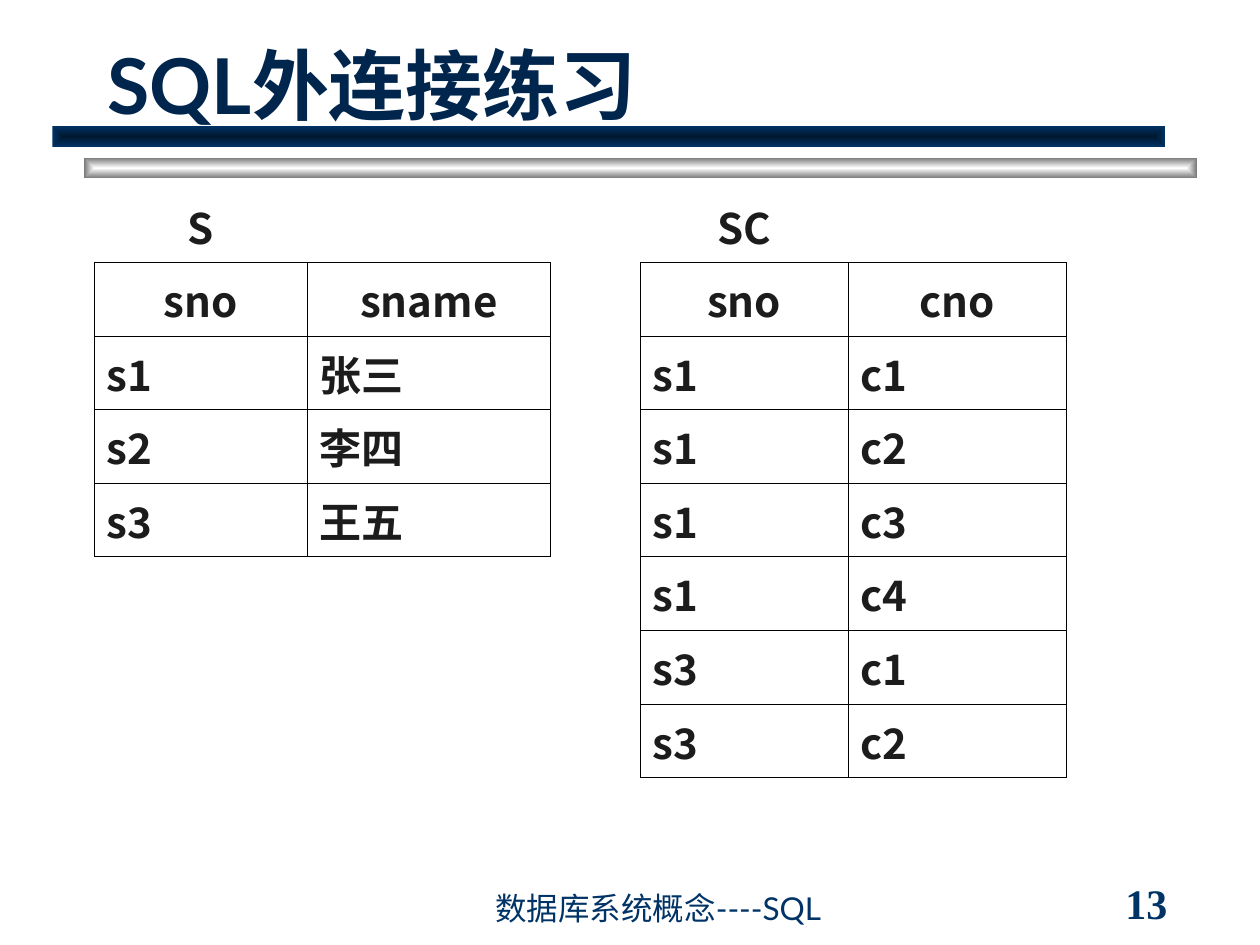
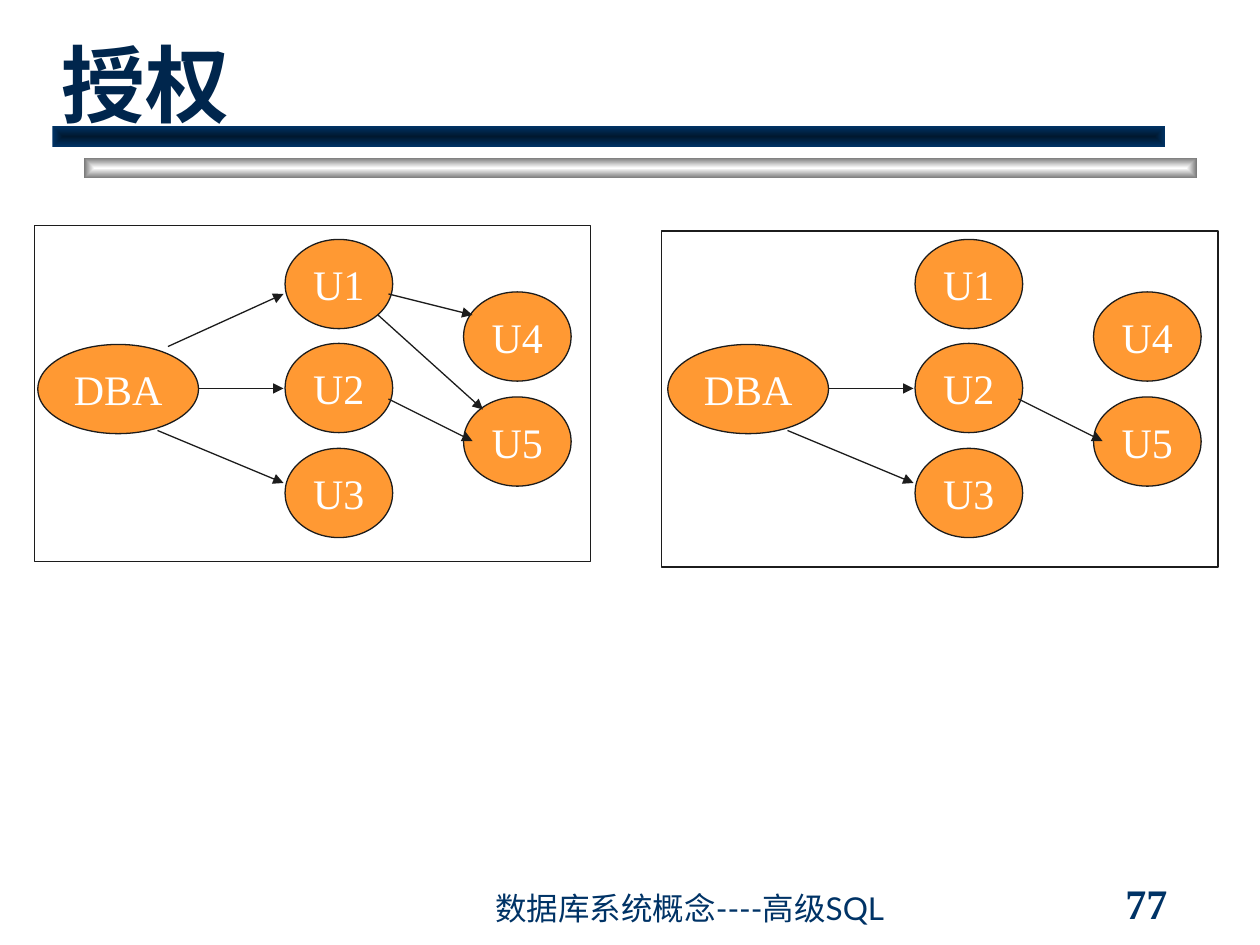
import dataclasses

import pptx
import pptx.dml.color
import pptx.enum.dml
import pptx.enum.shapes
import pptx.enum.text
import pptx.oxml
import pptx.oxml.ns
import pptx.util

COLUMNS, ROWS = 120, 90  # grid that covers the whole slide
ANCHOR = pptx.enum.text.MSO_ANCHOR
ALIGN = pptx.enum.text.PP_ALIGN
SHAPE = pptx.enum.shapes.MSO_SHAPE
NO_STYLE_TABLE = "{2D5ABB26-0587-4C30-8999-92F81FD0307C}"


@dataclasses.dataclass(frozen=True)
class Theme:
    navy: str = "003366"
    deep_navy: str = "00182F"
    title: str = "00264D"
    ink: str = "1C1C1C"
    white: str = "FFFFFF"
    grey: str = "767676"
    border: str = "000000"
    node: str = "FF9933"
    sans: str = "Lato"
    chinese: str = "Noto Sans CJK SC"
    serif: str = "Times New Roman"
    footer_size: int = 18
    body_size: int = 24
    line_width: float = 0.75
    border_width: float = 0.45


THEME = Theme()


def rgb(value):
    return pptx.dml.color.RGBColor.from_string(value)


def grid(units):
    """Length of a number of grid units; columns and rows are equally wide."""
    return round(pptx.util.Inches(10) * units / COLUMNS)


def grid_box(box):
    return [grid(units) for units in box]


def xml(markup):
    namespace = pptx.oxml.ns.nsdecls("a")
    return pptx.oxml.parse_xml(markup.replace(" ", f" {namespace} ", 1))


def write(text_frame, text, size, color, font, bold=False, align=ALIGN.LEFT):
    text_frame.text = text
    paragraph = text_frame.paragraphs[0]
    paragraph.alignment = align
    for run in paragraph.runs:
        run.font.size = pptx.util.Pt(size)
        run.font.bold = bold
        run.font.name = font
        run.font.color.rgb = rgb(color)
        run.font._element.append(xml(f'<a:ea typeface="{THEME.chinese}"/>'))


def add_text(slide, box, text, anchor, **style):
    text_frame = slide.shapes.add_textbox(*grid_box(box)).text_frame
    text_frame.word_wrap = True
    text_frame.vertical_anchor = anchor
    write(text_frame, text, **style)


def set_outline(shape):
    shape.line.color.rgb = rgb(THEME.ink)
    shape.line.width = pptx.util.Pt(THEME.line_width)


def add_band(slide, box, center, edge):
    """Bar whose colour runs from its middle to its four edges."""
    band = slide.shapes.add_shape(SHAPE.RECTANGLE, *grid_box(box))
    band.shadow.inherit = False
    band.line.fill.background()
    band.fill.gradient()
    for position, (stop, color) in enumerate(
            zip(band.fill.gradient_stops, (center, edge))):
        stop.color.rgb = rgb(color)
        stop.position = position
    gradient = band._element.spPr.find(pptx.oxml.ns.qn("a:gradFill"))
    gradient.remove(gradient.find(pptx.oxml.ns.qn("a:lin")))
    gradient.append(xml('<a:path path="rect"><a:fillToRect l="50000" t="50000" '
                        'r="50000" b="50000"/></a:path>'))


def add_frame(presentation, title, title_box, title_size, footer, number):
    """New slide with the bands, title, footer and page number."""
    slide = presentation.slides.add_slide(presentation.slide_layouts[6])
    add_band(slide, (8, 15, 106, 2), THEME.white, THEME.grey)
    add_band(slide, (5, 12, 106, 2), THEME.deep_navy, THEME.navy)
    add_text(slide, (106, 84, 13, 4), number, ANCHOR.MIDDLE, size=THEME.body_size,
             color=THEME.navy, font=THEME.serif, bold=True)
    add_text(slide, (46, 84.9, 49, 4), footer, ANCHOR.BOTTOM, size=THEME.footer_size,
             color=THEME.navy, font=THEME.sans)
    add_text(slide, title_box, title, ANCHOR.BOTTOM, size=title_size,
             color=THEME.title, font=THEME.sans, bold=True)
    return slide


def set_borders(cell, sides):
    width = pptx.util.Pt(THEME.border_width)
    properties = cell._tc.get_or_add_tcPr()
    for side in sides:
        properties.append(xml(
            f'<a:ln{side} w="{width}"><a:solidFill><a:srgbClr val="{THEME.border}"/>'
            f'</a:solidFill></a:ln{side}>'))


def add_relation(slide, left, top, column_widths, name, header, records):
    """Table with the relation's name in a row without borders above the header."""
    rows = [(name, ""), header, *records]
    row_height = 7.01
    box = (left, top, sum(column_widths), row_height * len(rows))
    table = slide.shapes.add_table(len(rows), len(header), *grid_box(box)).table
    table.first_row = table.horz_banding = False
    table._tbl.tblPr.find(pptx.oxml.ns.qn("a:tableStyleId")).text = NO_STYLE_TABLE
    for column, width in zip(table.columns, column_widths):
        column.width = grid(width)
    for row_index, values in enumerate(rows):
        table.rows[row_index].height = grid(row_height)
        for column_index, value in enumerate(values):
            cell = table.cell(row_index, column_index)
            set_borders(cell, "LRTB" if row_index else "B")
            cell.fill.background()
            cell.vertical_anchor = ANCHOR.BOTTOM
            if value:
                write(cell.text_frame, value, THEME.body_size, THEME.ink,
                      THEME.chinese, bold=True,
                      align=ALIGN.CENTER if row_index < 2 else ALIGN.LEFT)


# Each user: left edge, level (five rows apart) and width in the graph
USERS = {
    "DBA": (3.6, 2, 15.3),
    "U1": (27.15, 0, 10.25),
    "U2": (27.15, 1.98, 10.25),
    "U3": (27.15, 3.98, 10.25),
    "U4": (44.15, 1, 10.25),
    "U5": (44.15, 3, 10.25),
}
# Start and end of each grant's arrow in the graph
GRANTS = {
    ("DBA", "U1"): (16, 11, 27, 6),
    ("DBA", "U2"): (19, 15, 27, 15),
    ("DBA", "U3"): (15, 19, 27, 24),
    ("U1", "U4"): (37, 6, 45, 8),
    ("U2", "U5"): (37, 16, 45, 20),
    ("U1", "U5"): (36, 8, 46, 17),
}


def add_panel(slide, box):
    panel = slide.shapes.add_shape(SHAPE.RECTANGLE, *grid_box(box))
    panel.shadow.inherit = False
    panel.fill.background()
    set_outline(panel)


def add_user(group, box, name):
    user = group.shapes.add_shape(SHAPE.OVAL, *grid_box(box))
    user.shadow.inherit = False
    user.fill.solid()
    user.fill.fore_color.rgb = rgb(THEME.node)
    set_outline(user)
    user.text_frame.word_wrap = False
    user.text_frame.vertical_anchor = ANCHOR.MIDDLE
    write(user.text_frame, name, THEME.body_size, THEME.white, THEME.serif,
          align=ALIGN.CENTER)


def add_arrow(group, ends):
    arrow = group.shapes.add_connector(
        pptx.enum.shapes.MSO_CONNECTOR.STRAIGHT, *grid_box(ends))
    set_outline(arrow)
    arrow.line._get_or_add_ln().append(xml('<a:tailEnd type="triangle"/>'))
    arrow._element.spPr.append(xml("<a:effectLst />"))


def add_grant_graph(slide, left, top, grants):
    group = slide.shapes.add_group_shape()
    for name, (offset, level, width) in USERS.items():
        add_user(group, (left + offset, top + 0.8 + 5 * level, width, 8.5), name)
    for grant in grants:
        start_x, start_y, end_x, end_y = GRANTS[grant]
        add_arrow(group, (left + start_x, top + start_y, left + end_x, top + end_y))


def build_join_slide(presentation):
    slide = add_frame(presentation, "SQL外连接练习", (9.05, 2, 102, 11), 44,
                      "数据库系统概念----SQL", "13")
    add_relation(slide, 8.97, 18, (20.3, 23.15), "S", ("sno", "sname"),
                 [("s1", "张三"), ("s2", "李四"), ("s3", "王五")])
    add_relation(slide, 60.97, 18, (19.8, 20.8), "SC", ("sno", "cno"),
                 [("s1", "c1"), ("s1", "c2"), ("s1", "c3"), ("s1", "c4"),
                  ("s3", "c1"), ("s3", "c2")])


def build_grant_slide(presentation):
    slide = add_frame(presentation, "授权", (4.7, 2.2, 111.4, 11.1), 48,
                      "数据库系统概念----高级SQL", "77")
    add_panel(slide, (3.27, 21.5, 53, 32))
    add_panel(slide, (63, 22, 53, 32))
    add_grant_graph(slide, 0, 22, GRANTS)
    remaining = [("DBA", "U2"), ("DBA", "U3"), ("U2", "U5")]
    add_grant_graph(slide, COLUMNS / 2, 22, remaining)


def main():
    presentation = pptx.Presentation()
    presentation.slide_width = grid(COLUMNS)
    presentation.slide_height = grid(ROWS)
    build_join_slide(presentation)
    build_grant_slide(presentation)
    presentation.save("out.pptx")


if __name__ == "__main__":
    main()
